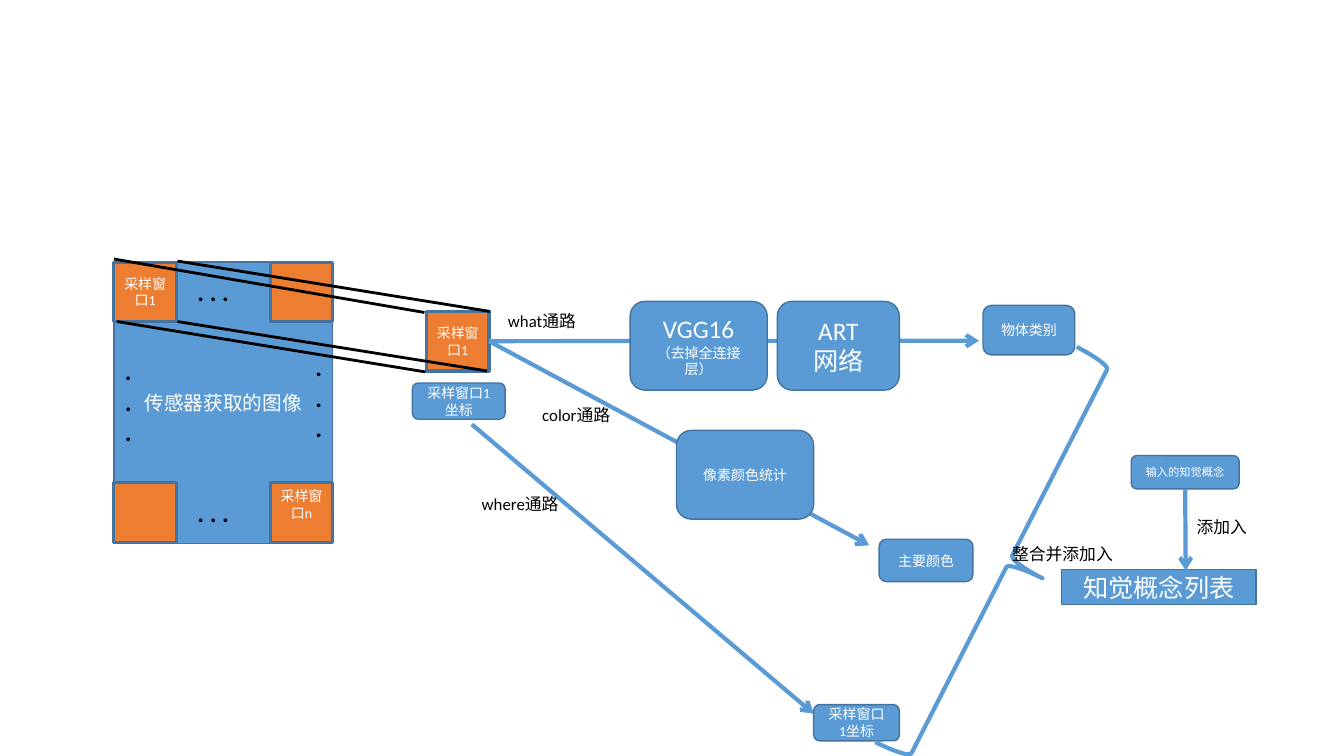
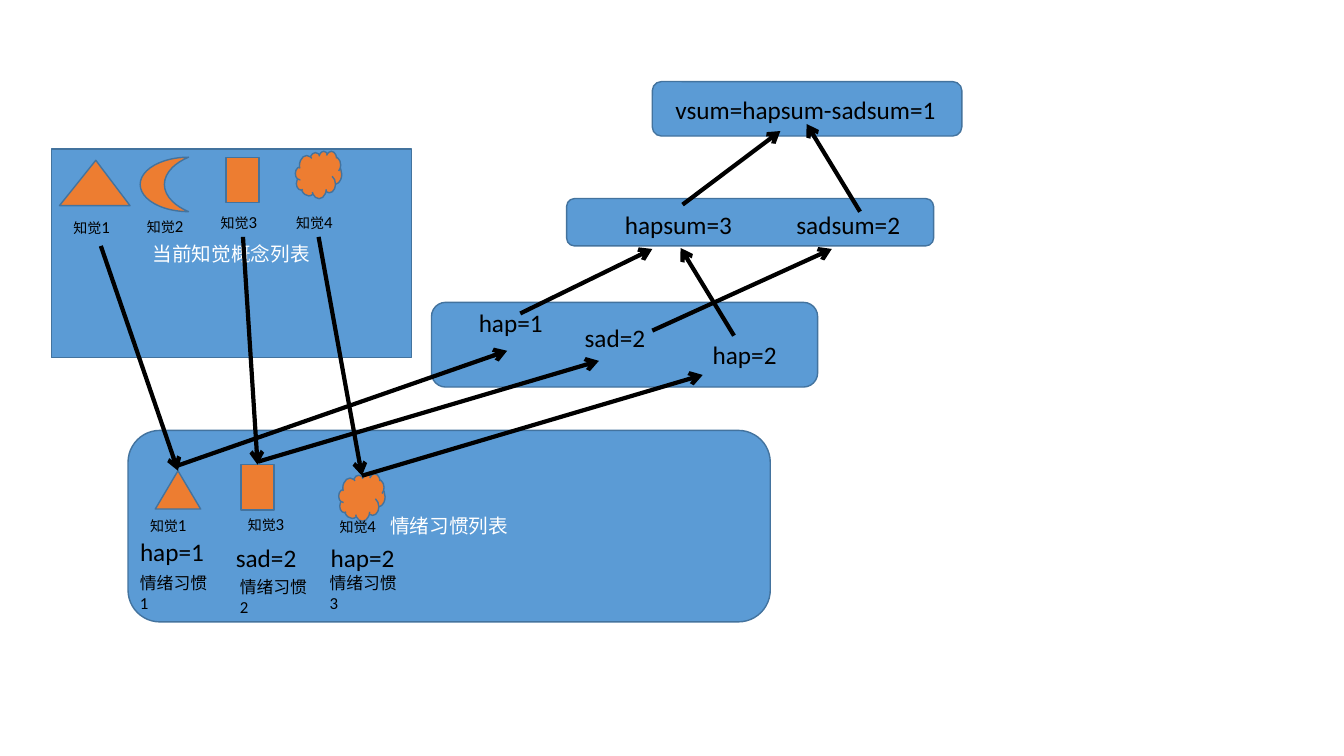
from lxml import etree
from pptx import Presentation
from pptx import util as u
from pptx.dml.color import RGBColor
from pptx.enum import shapes, text
from pptx.oxml import ns

BLUE = RGBColor(0x5B, 0x9B, 0xD5)
EDGE = RGBColor(0x43, 0x73, 0x9E)
ORANGE = RGBColor(0xED, 0x7D, 0x31)
WHITE = RGBColor(0xFF, 0xFF, 0xFF)
BLACK = RGBColor(0, 0, 0)
FONT = "Calibri"
KIND = shapes.MSO_SHAPE
CENTER = text.PP_ALIGN.CENTER
LEFT = text.PP_ALIGN.LEFT


def write(frame, *paragraphs, size=18, color=BLACK, bold=False, align=LEFT):
    frame.word_wrap = True
    for index, content in enumerate(paragraphs):
        paragraph = frame.add_paragraph() if index else frame.paragraphs[0]
        paragraph.alignment = align
        runs = [(content, size)] if isinstance(content, str) else content
        for words, points in runs:
            run = paragraph.add_run()
            run.text = words
            run.font.name = FONT
            run.font.size = u.Pt(points)
            run.font.bold = bold
            run.font.color.rgb = color


class Diagram:
    def __init__(self):
        self.deck = Presentation()
        self.deck.slide_width = u.Inches(13.33)
        self.deck.slide_height = u.Inches(7.5)
        self.slide = None

    def new_slide(self):
        self.slide = self.deck.slides.add_slide(self.deck.slide_layouts[6])

    def block(self, place, *paragraphs, kind=KIND.ROUNDED_RECTANGLE,
              fill=BLUE, edge=1, size=10):
        block = self.slide.shapes.add_shape(kind, *map(u.Inches, place))
        block.shadow.inherit = False
        block.fill.solid()
        block.fill.fore_color.rgb = fill
        block.line.color.rgb = EDGE
        block.line.width = u.Pt(edge)
        block.text_frame.vertical_anchor = text.MSO_ANCHOR.MIDDLE
        write(block.text_frame, *paragraphs, size=size, color=WHITE,
              align=CENTER)
        return block

    def window(self, left, top, *paragraphs):
        return self.block((left, top, 0.62, 0.59), *paragraphs,
                          kind=KIND.RECTANGLE, fill=ORANGE, edge=2.25)

    def symbol(self, kind, *place):
        return self.block(place, kind=kind, fill=ORANGE)

    def brace(self, place, angle):
        brace = self.slide.shapes.add_shape(KIND.RIGHT_BRACE,
                                            *map(u.Inches, place))
        brace.rotation = angle
        brace.shadow.inherit = False
        brace.fill.background()
        brace.line.color.rgb = BLUE
        brace.line.width = u.Pt(3)

    def label(self, place, *paragraphs, **style):
        label = self.slide.shapes.add_textbox(*map(u.Inches, place))
        write(label.text_frame, *paragraphs, **style)
        label.text_frame.auto_size = text.MSO_AUTO_SIZE.SHAPE_TO_FIT_TEXT

    def percept(self, left, top, number):
        self.label((left, top, 0.63, 0.3), [("知觉", 10), (number, 12)])

    def line(self, start, end, color=BLACK, width=3, arrow=True,
             source=None, target=None):
        line = self.slide.shapes.add_connector(
            shapes.MSO_CONNECTOR.STRAIGHT, *map(u.Inches, (*start, *end)))
        line.line.color.rgb = color
        line.line.width = u.Pt(width)
        if source:
            line.begin_connect(*source)
        if target:
            line.end_connect(*target)
        if arrow:
            etree.SubElement(line.line._get_or_add_ln(), ns.qn("a:tailEnd"),
                             type="arrow")
        etree.SubElement(line._element.spPr, ns.qn("a:effectLst"))


def perception_slide(d):
    d.new_slide()
    d.block((1.13, 2.6, 2.17, 2.79), "传感器获取的图像",
            kind=KIND.RECTANGLE, size=14)
    d.window(1.13, 2.6, "采样窗口1")
    d.window(2.68, 2.6)
    last_window = d.window(2.68, 4.79, "采样窗口n")
    last_window.text_frame.margin_bottom = u.Inches(0.22)
    d.window(1.13, 4.79)
    for top in (2.69, 4.88):
        d.label((1.86, top, 0.72, 0.4), ". . .", bold=True)
    for left, top in ((3.03, 3.44), (1.14, 3.48)):
        d.label((left, top, 0.72, 1.01), *"...", bold=True)

    sample = d.window(4.23, 3.09, "采样窗口1")
    for start, end in (((1.13, 2.57), (4.21, 3.1)),
                       ((1.16, 3.19), (4.22, 3.69)),
                       ((1.76, 2.59), (4.86, 3.09)),
                       ((1.76, 3.19), (4.83, 3.68))):
        d.line(start, end, width=2, arrow=False)

    d.line((4.85, 3.38), (9.71, 3.38), BLUE, source=(sample, 3))
    d.line((4.85, 3.38), (8.62, 5.41), BLUE, source=(sample, 3))
    d.line((4.68, 4.21), (8.07, 7.08), BLUE)
    d.block((4.09, 3.8, 0.92, 0.36), "采样窗口1坐标")
    d.block((6.25, 2.99, 1.36, 0.88), "VGG16", [("（去掉全连接层）", 10)],
            size=18)
    d.block((7.71, 2.99, 1.21, 0.88), "ART", "网络", size=18)
    d.block((9.75, 3.03, 0.91, 0.49), "物体类别")
    d.block((6.71, 4.27, 1.36, 0.88), "像素颜色统计")
    d.block((8.72, 5.35, 0.93, 0.42), "主要颜色")
    d.block((8.07, 6.99, 0.85, 0.36), "采样窗口1坐标")

    d.brace((9.64, 3.37, 0.74, 4.4), 27)
    d.block((10.53, 5.65, 1.93, 0.35), "知觉概念列表",
            kind=KIND.RECTANGLE, size=18)
    concept = d.block((11.22, 4.52, 1.07, 0.33), "输入的知觉概念", size=8)
    d.line((11.76, 4.85), (11.76, 5.66), BLUE, source=(concept, 2))
    for left, top, words in ((4.94, 3.03, "what通路"),
                             (5.28, 3.97, "color通路"),
                             (4.68, 4.85, "where通路"),
                             (9.94, 5.35, "整合并添加入"),
                             (11.77, 5.08, "添加入")):
        d.label((left, top, 1.43, 0.3), words, size=12)


def emotion_slide(d):
    d.new_slide()
    for place in ((6.47, 0.81, 3.07, 0.54), (5.62, 1.97, 3.64, 0.47),
                  (4.28, 3, 3.83, 0.84)):
        d.block(place)
    d.block((1.27, 4.27, 6.37, 1.9), "情绪习惯列表", size=14)
    d.block((0.51, 1.48, 3.57, 2.07), "当前知觉概念列表",
            kind=KIND.RECTANGLE, size=14)

    habit_triangle = d.symbol(KIND.ISOSCELES_TRIANGLE, 1.54, 4.67, 0.45, 0.38)
    habit_square = d.symbol(KIND.RECTANGLE, 2.39, 4.61, 0.33, 0.45)
    d.symbol(KIND.CLOUD, 3.36, 4.7, 0.46, 0.47)
    triangle = d.symbol(KIND.ISOSCELES_TRIANGLE, 0.59, 1.59, 0.7, 0.45)
    triangle.adjustments[0] = 0.515
    d.symbol(KIND.MOON, 1.39, 1.56, 0.48, 0.54)
    d.symbol(KIND.RECTANGLE, 2.24, 1.56, 0.33, 0.45)
    d.symbol(KIND.CLOUD, 2.93, 1.5, 0.46, 0.47)

    d.line((1, 2.44), (1.76, 4.67), target=(habit_triangle, 0))
    d.line((2.41, 2.35), (2.56, 4.61), target=(habit_square, 0))
    for start, end in (((3.16, 2.35), (3.59, 4.72)),
                       ((1.76, 4.62), (5.03, 3.48)),
                       ((2.56, 4.58), (5.94, 3.58)),
                       ((3.59, 4.72), (6.97, 3.72)),
                       ((5.16, 3.11), (6.47, 2.47)),
                       ((7.28, 3.33), (6.75, 2.46)),
                       ((6.47, 3.28), (8.25, 2.47)),
                       ((8.53, 2.1), (8, 1.23)),
                       ((6.77, 2.03), (7.74, 1.3))):
        d.line(start, end)

    for left, top, width, words in ((1.29, 5.27, 0.95, "hap=1"),
                                    (2.24, 5.33, 0.95, "sad=2"),
                                    (3.18, 5.33, 0.95, "hap=2"),
                                    (4.65, 3, 0.95, "hap=1"),
                                    (5.7, 3.15, 0.95, "sad=2"),
                                    (6.97, 3.32, 0.95, "hap=2"),
                                    (6.1, 2.03, 1.35, "hapsum=3"),
                                    (7.8, 2.03, 1.28, "sadsum=2"),
                                    (6.6, 0.89, 3.36, "vsum=hapsum-sadsum=1")):
        d.label((left, top, width, 0.4), words)
    for left, top, number in ((0.63, 2.1, "1"), (1.36, 2.09, "2"),
                              (2.09, 2.05, "3"), (2.84, 2.05, "4"),
                              (1.39, 5.06, "1"), (2.36, 5.05, "3"),
                              (3.27, 5.07, "4")):
        d.percept(left, top, number)
    for left, top, words in ((1.29, 5.63, "情绪习惯1"),
                             (2.28, 5.67, "情绪习惯2"),
                             (3.17, 5.63, "情绪习惯3")):
        d.label((left, top, 0.9, 0.5), words, size=12)


def main():
    diagram = Diagram()
    perception_slide(diagram)
    emotion_slide(diagram)
    diagram.deck.save("out.pptx")


if __name__ == "__main__":
    main()
